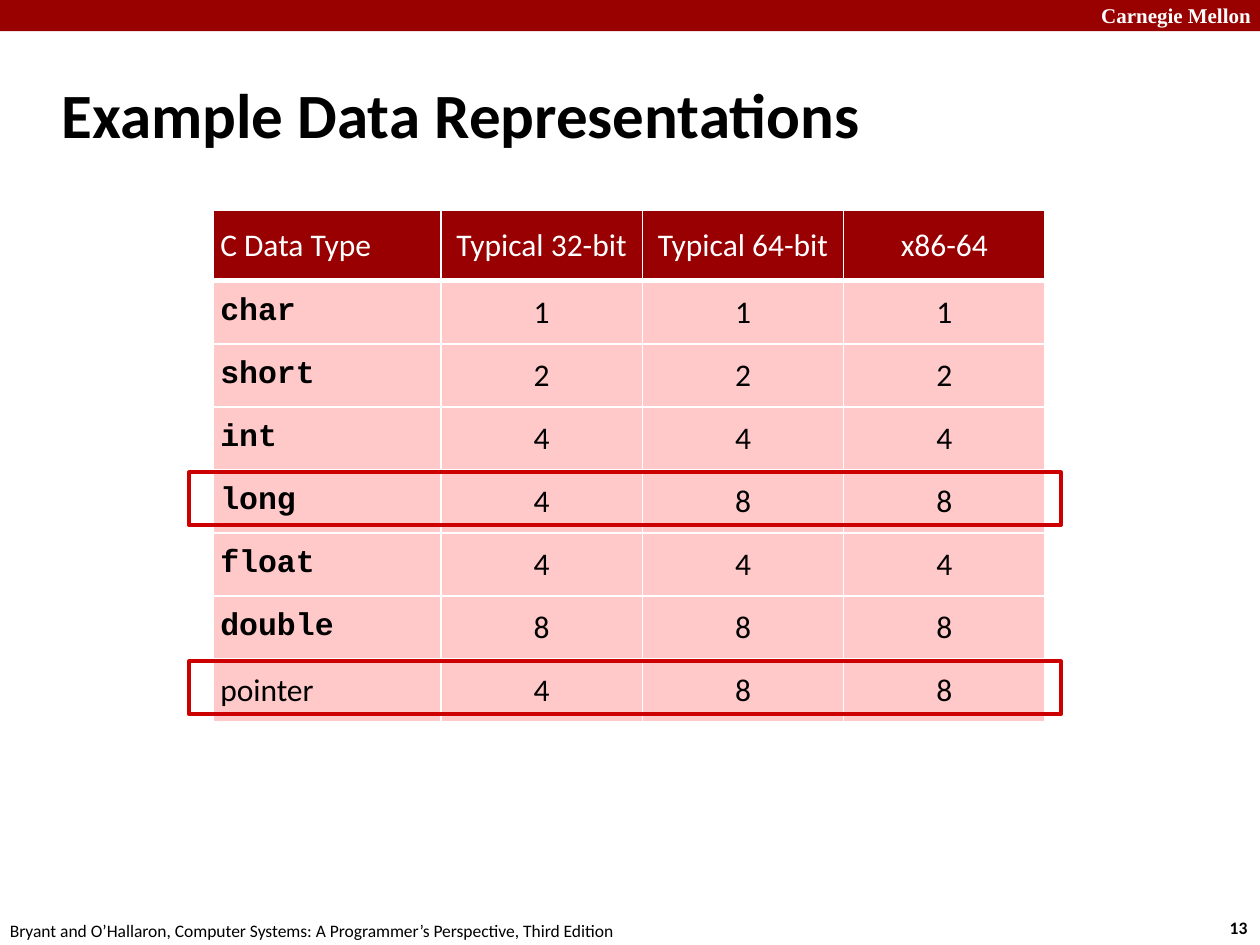
"""Build the slide on typical sizes of C data types."""
from lxml import etree
from pptx import Presentation
from pptx.dml.color import RGBColor
from pptx.enum.shapes import MSO_SHAPE
from pptx.enum.text import MSO_ANCHOR, PP_ALIGN
from pptx.oxml.ns import qn
from pptx.util import Cm, Pt

RECT = MSO_SHAPE.RECTANGLE
LEFT, CENTER = PP_ALIGN.LEFT, PP_ALIGN.CENTER
MIDDLE = MSO_ANCHOR.MIDDLE
SANS, MONO, SERIF = "Calibri", "Courier New", "Times New Roman"
WHITE, BLACK = "FFFFFF", "000000"
BANNER, HEADER, BODY, ACCENT = "990000", "980002", "FFC8C9", "CC0000"

TITLE = "Example Data Representations"
ROWS = [
    ("C Data Type", "Typical 32-bit", "Typical 64-bit", "x86-64"),
    ("char", "1", "1", "1"),
    ("short", "2", "2", "2"),
    ("int", "4", "4", "4"),
    ("long", "4", "8", "8"),
    ("float", "4", "4", "4"),
    ("double", "8", "8", "8"),
    ("pointer", "4", "8", "8"),
]
KEYWORDS = {"char", "short", "int", "long", "float", "double"}
HIGHLIGHTED = ("long", "pointer")
LABELS = [
    ("Carnegie Mellon", (21.95, -0.08, 3.63, 0.76), SERIF, 12, WHITE, True, True),
    ("13", (24.54, 18.36, 0.94, 0.69), SANS, 10, BLACK, True, False),
    ("Bryant and O’Hallaron, Computer Systems: A Programmer’s Perspective, Third Edition",
     (-0.05, 18.42, 12.9, 0.69), SANS, 10, BLACK, False, False),
]
TABLE_LEFT, TABLE_TOP = 4.29, 4.24
COL_WIDTHS = [4.6, 4.06, 4.06, 4.06]
ROW_HEIGHTS = [1.42] + [1.27] * (len(ROWS) - 1)


def rgb(value):
    return RGBColor.from_string(value)


def box(left, top, width, height):
    return Cm(left), Cm(top), Cm(width), Cm(height)


def write(tf, text, font, size, color, bold=False, align=LEFT):
    p = tf.paragraphs[0]
    p.alignment = align
    r = p.add_run()
    r.text = text
    r.font.name, r.font.size, r.font.bold = font, Pt(size), bold
    r.font.color.rgb = rgb(color)


def add_rect(s, place, fill=None, line=None):
    sp = s.shapes.add_shape(RECT, *box(*place))
    sp.shadow.inherit = False
    if fill:
        sp.fill.solid()
        sp.fill.fore_color.rgb = rgb(fill)
    else:
        sp.fill.background()
    if line:
        sp.line.color.rgb = rgb(line)
        sp.line.width = Pt(2)
    else:
        sp.line.fill.background()


def add_label(s, text, place, font, size, color, bold, wrap):
    tf = s.shapes.add_textbox(*box(*place)).text_frame
    tf.word_wrap = wrap
    write(tf, text, font, size, color, bold)


def add_title(s):
    sp = s.shapes.title
    sp.left, sp.top, sp.width, sp.height = box(0.99, 1.22, 21.08, 2.11)
    sp.text_frame.vertical_anchor = MIDDLE
    write(sp.text_frame, TITLE, SANS, 36, BLACK, True)


def set_borders(cell, top, bottom):
    tcPr = cell._tc.get_or_add_tcPr()
    for side, width in (("L", 1), ("R", 1), ("T", top), ("B", bottom)):
        ln = etree.SubElement(tcPr, qn(f"a:ln{side}"), w=str(Pt(width)))
        fill = etree.SubElement(ln, qn("a:solidFill"))
        etree.SubElement(fill, qn("a:srgbClr"), val=WHITE)


def add_type_table(s):
    place = box(TABLE_LEFT, TABLE_TOP, sum(COL_WIDTHS), sum(ROW_HEIGHTS))
    table = s.shapes.add_table(len(ROWS), len(COL_WIDTHS), *place).table
    for column, width in zip(table.columns, COL_WIDTHS):
        column.width = Cm(width)
    for i, values in enumerate(ROWS):
        table.rows[i].height = Cm(ROW_HEIGHTS[i])
        for j, text in enumerate(values):
            cell = table.cell(i, j)
            set_borders(cell, 3 if i == 1 else 1, 3 if i == 0 else 1)
            cell.fill.solid()
            cell.fill.fore_color.rgb = rgb(BODY if i else HEADER)
            cell.vertical_anchor = MIDDLE
            cell.margin_left = cell.margin_right = Cm(0.15)
            cell.margin_top = cell.margin_bottom = Cm(0.15)
            keyword = text in KEYWORDS
            write(cell.text_frame, text, MONO if keyword else SANS, 18,
                  BLACK if i else WHITE, keyword, CENTER if j else LEFT)


def add_highlights(s):
    for i, values in enumerate(ROWS):
        if values[0] in HIGHLIGHTED:
            top = TABLE_TOP + sum(ROW_HEIGHTS[:i]) + 0.05
            add_rect(s, (3.81, top, 17.58, 1.07), line=ACCENT)


def main():
    prs = Presentation()
    prs.slide_width, prs.slide_height = Cm(25.4), Cm(19.05)
    s = prs.slides.add_slide(prs.slide_layouts[5])
    add_rect(s, (0, 0, 25.4, 0.63), fill=BANNER)
    for label in LABELS:
        add_label(s, *label)
    add_title(s)
    add_type_table(s)
    add_highlights(s)
    prs.save("out.pptx")


if __name__ == "__main__":
    main()
